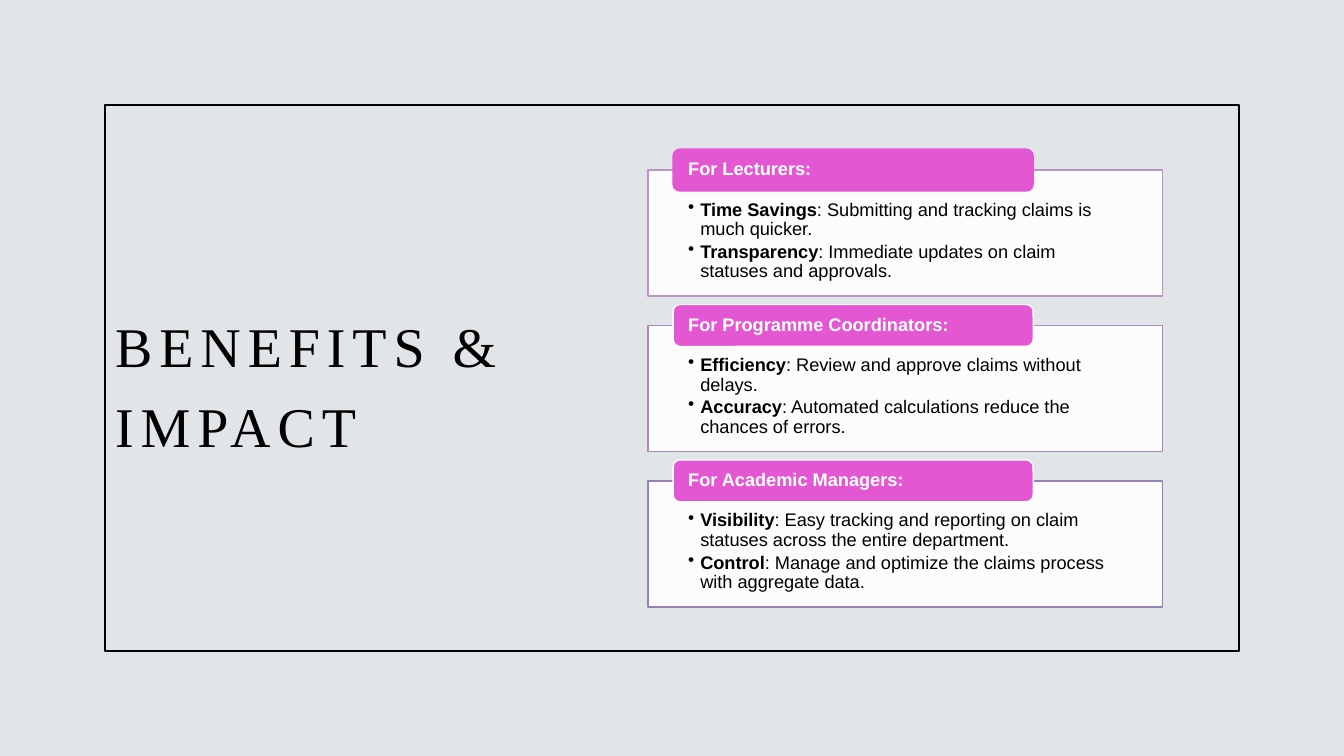
from lxml import etree
from pptx import Presentation
from pptx import util as u
from pptx.dml.color import RGBColor
from pptx.enum import shapes, text
from pptx.oxml.ns import qn

COLORS = {
    "background": "E2E5E8",
    "black": "000000",
    "white": "FFFFFF",
    "pink": "E357D2",
    "mauve": "BC94C5",
    "lilac": "AA8ABF",
    "violet": "967FBA",
}
COLUMNS, ROWS = 128, 72
CARD_TOP, CARD_STEP = 16.2, 14.8

CARDS = [
    ("For Lecturers:", "mauve", "pink", [
        ("Time Savings", ": Submitting and tracking claims is much quicker."),
        ("Transparency", ": Immediate updates on claim statuses and approvals."),
    ]),
    ("For Programme Coordinators:", "lilac", "white", [
        ("Efficiency", ": Review and approve claims without delays."),
        ("Accuracy", ": Automated calculations reduce the chances of errors."),
    ]),
    ("For Academic Managers:", "violet", "white", [
        ("Visibility", ": Easy tracking and reporting on claim statuses across the entire department."),
        ("Control", ": Manage and optimize the claims process with aggregate data."),
    ]),
]


def color(name):
    return RGBColor.from_string(COLORS[name])


def add_run(paragraph, content, size=13, font="Arial", fill="black", bold=False, spacing=0):
    """Append formatted text; spacing is the letter spacing in points."""
    run = paragraph.add_run()
    run.text = content
    run.font.size = u.Pt(size)
    run.font.name = font
    run.font.bold = bold
    run.font.color.rgb = color(fill)
    if spacing:
        run.font._element.set("spc", str(spacing * 100))


def set_spacing(paragraph, line, after=0):
    paragraph.alignment = text.PP_ALIGN.LEFT
    paragraph.line_spacing = line
    paragraph.space_before = u.Pt(0)
    paragraph.space_after = u.Pt(after)


def add_bullet(paragraph, indent=0.12):
    properties = paragraph._p.get_or_add_pPr()
    properties.set("marL", str(u.Inches(indent)))
    properties.set("indent", str(-u.Inches(indent)))
    etree.SubElement(properties, qn("a:buChar")).set("char", "•")


class SlideBuilder:
    def __init__(self, presentation):
        self.column = presentation.slide_width / COLUMNS
        self.row = presentation.slide_height / ROWS
        self.slide = presentation.slides.add_slide(presentation.slide_layouts[5])
        self.slide.background.fill.solid()
        self.slide.background.fill.fore_color.rgb = color("background")

    def place(self, left, top, width, height):
        """Turn grid columns and rows into slide lengths."""
        return (round(left * self.column), round(top * self.row),
                round(width * self.column), round(height * self.row))

    def title(self, content, *cell):
        title = self.slide.shapes.title
        title.left, title.top, title.width, title.height = self.place(*cell)
        frame = title.text_frame
        frame.word_wrap = True
        frame.auto_size = text.MSO_AUTO_SIZE.NONE
        frame.vertical_anchor = text.MSO_ANCHOR.MIDDLE
        set_spacing(frame.paragraphs[0], 1.2)
        add_run(frame.paragraphs[0], content, size=40, font="Times New Roman", spacing=5)

    def box(self, *cell, line, fill=None, opacity=100, rounded=False, insets=(0.1, 0.05, 0.1, 0.05)):
        kind = shapes.MSO_SHAPE.ROUNDED_RECTANGLE if rounded else shapes.MSO_SHAPE.RECTANGLE
        shape = self.slide.shapes.add_shape(kind, *self.place(*cell))
        shape.shadow.inherit = False
        shape.line.color.rgb = color(line)
        shape.line.width = u.Pt(1)
        if fill:
            shape.fill.solid()
            shape.fill.fore_color.rgb = color(fill)
            if opacity < 100:
                rgb = shape.fill._xPr.find(qn("a:solidFill"))[0]
                etree.SubElement(rgb, qn("a:alpha")).set("val", str(opacity * 1000))
        else:
            shape.fill.background()
        frame = shape.text_frame
        frame.word_wrap = True
        (frame.margin_left, frame.margin_top,
         frame.margin_right, frame.margin_bottom) = map(u.Inches, insets)
        return shape

    def card(self, top, heading, border, tab_border, points):
        """Draw a bulleted panel with a heading tab over its top edge."""
        panel = self.box(61.7, top, 49, 12, line=border, fill="white", opacity=90,
                         insets=(0.4, 0.3, 0.4, 0.1))
        frame = panel.text_frame
        frame.vertical_anchor = text.MSO_ANCHOR.TOP
        for index, (term, explanation) in enumerate(points):
            paragraph = frame.add_paragraph() if index else frame.paragraphs[0]
            set_spacing(paragraph, 0.9, after=2)
            add_bullet(paragraph)
            add_run(paragraph, term, bold=True)
            add_run(paragraph, explanation)

        tab = self.box(64.1, top - 2, 34.3, 4, line=tab_border, fill="pink", rounded=True,
                       insets=(0.13, 0, 0.13, 0))
        tab.text_frame.vertical_anchor = text.MSO_ANCHOR.MIDDLE
        paragraph = tab.text_frame.paragraphs[0]
        set_spacing(paragraph, 0.9)
        add_run(paragraph, heading, fill="white", bold=True)


def main():
    presentation = Presentation()
    presentation.slide_width = u.Inches(13.33)
    presentation.slide_height = u.Inches(7.5)
    builder = SlideBuilder(presentation)
    builder.box(10, 10, 108, 52, line="black")
    builder.title("BENEFITS & IMPACT", 10, 24.1, 48.3, 23.9)
    for index, card in enumerate(CARDS):
        builder.card(CARD_TOP + index * CARD_STEP, *card)
    presentation.save("out.pptx")


if __name__ == "__main__":
    main()
